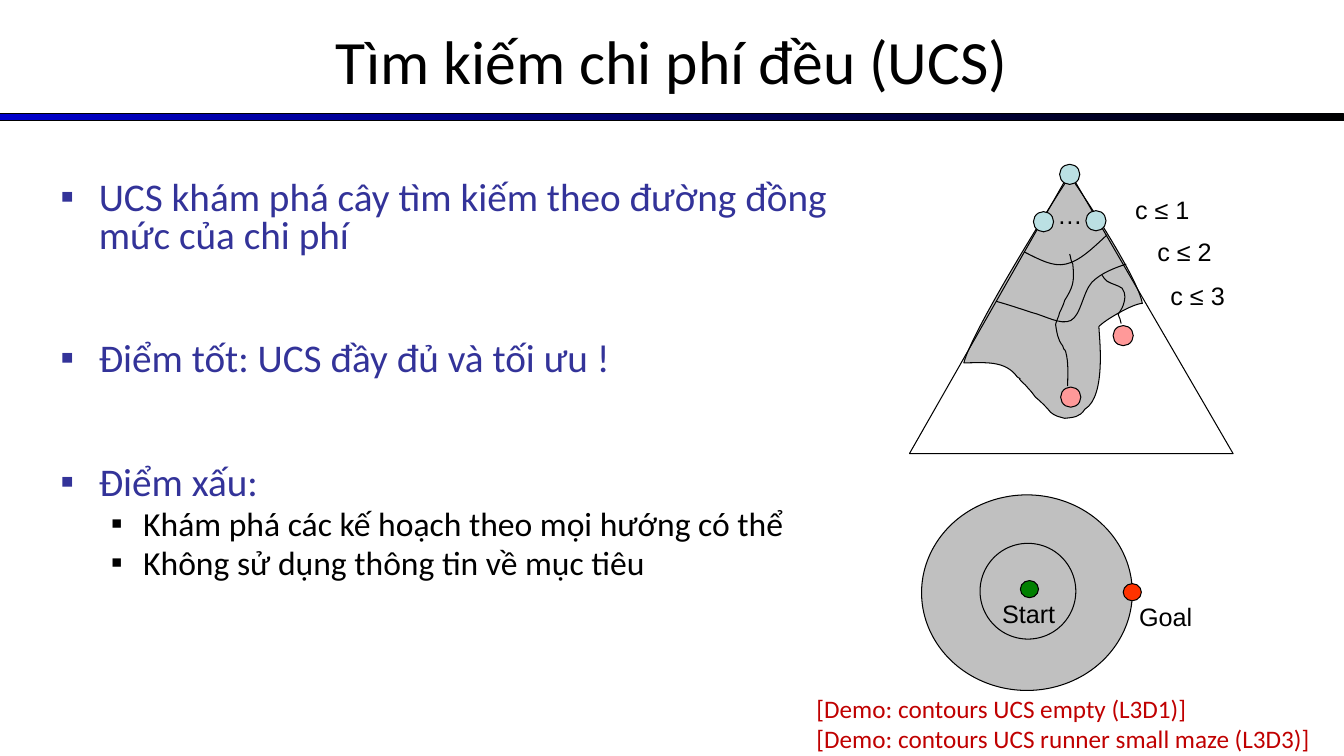
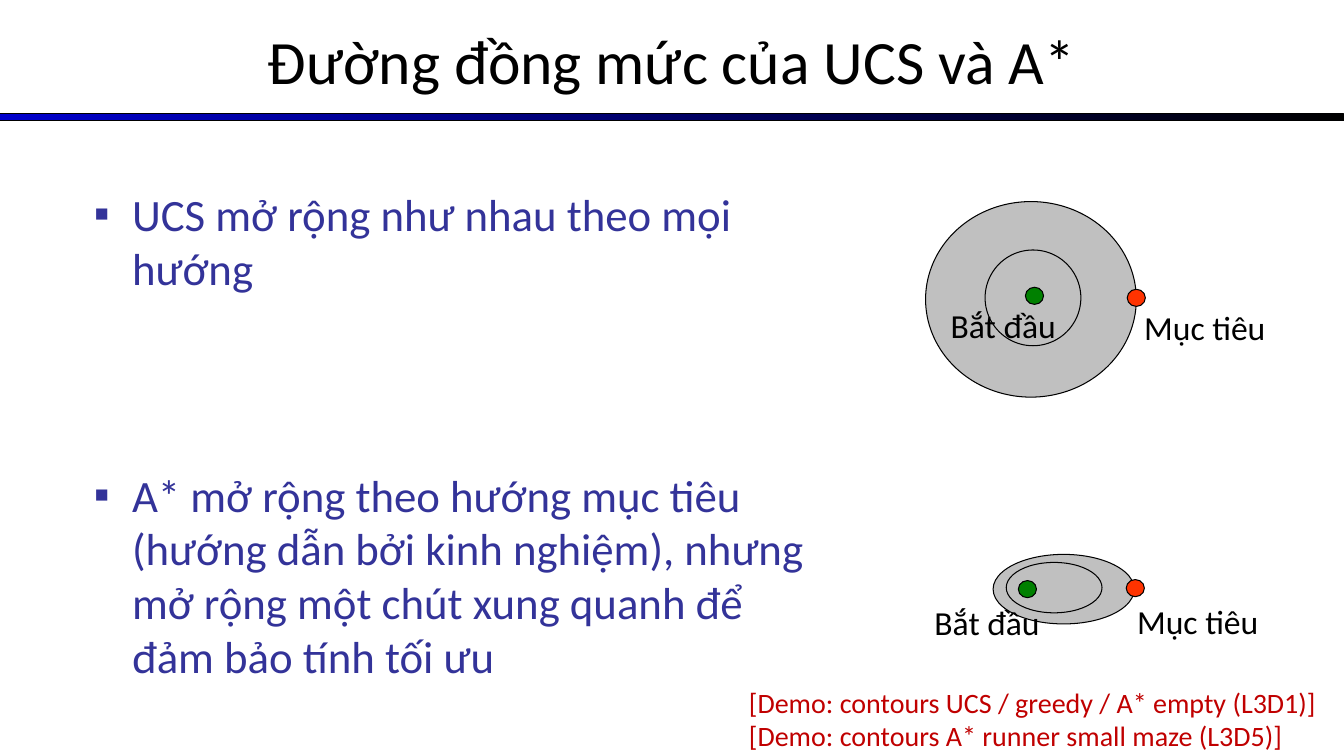
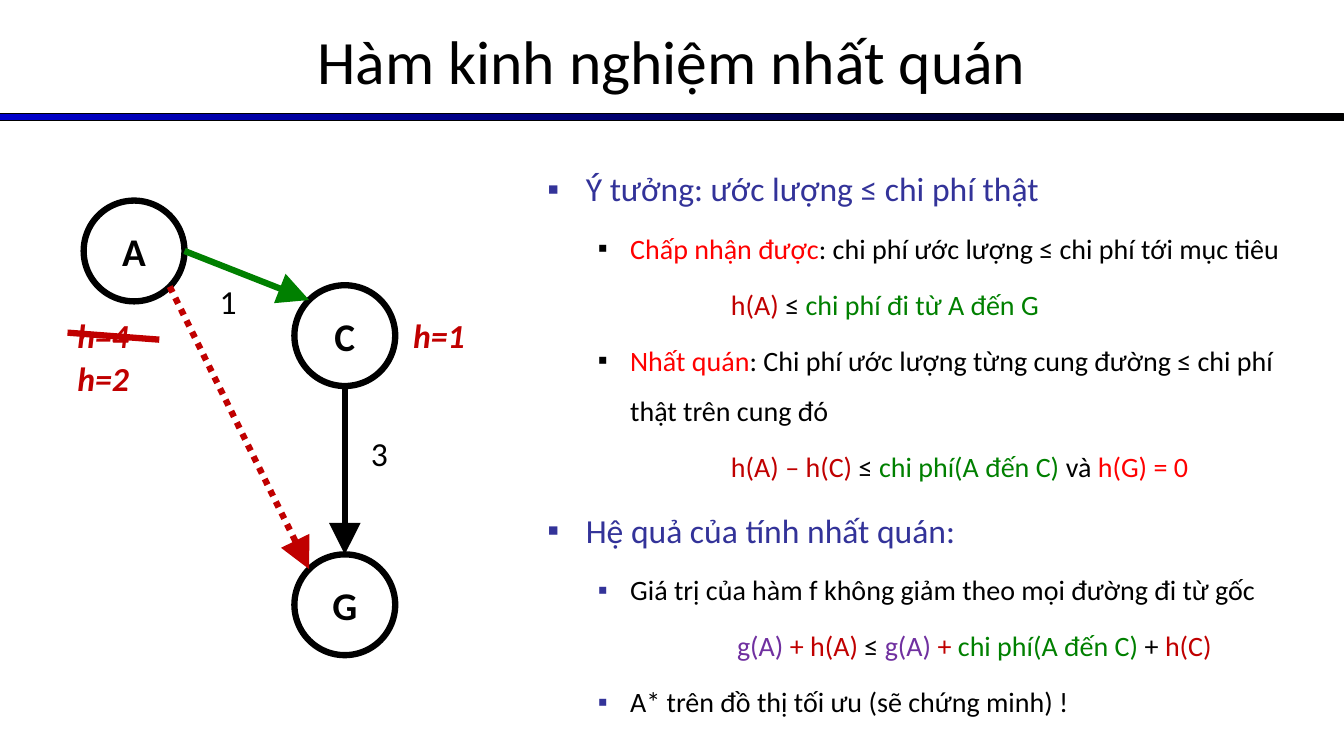
from dataclasses import dataclass
from math import cos, radians, sin

from lxml.etree import SubElement
from pptx import Presentation
from pptx.dml.color import RGBColor
from pptx.enum.dml import MSO_LINE
from pptx.enum.shapes import MSO_CONNECTOR, MSO_SHAPE
from pptx.enum.text import MSO_ANCHOR, MSO_AUTO_SIZE, PP_ALIGN
from pptx.oxml.ns import qn
from pptx.util import Inches, Pt

COLORS = {
    "black": "000000", "white": "FFFFFF", "heading": "333399", "band": "0000CC",
    "grey": "C0C0C0", "node": "BBE0E3", "goal_node": "FF9999",
    "green": "008000", "orange": "FF3300", "dark_red": "C00000",
    "red": "FF0000", "purple": "7030A0",
}
TITLE_BOX = (0, -0.03, 13.33, 1.25)
BAND_BOX = (0, 1.13, 13.33, 0.07)
BODY_LEVELS = {
    "point": {"level": 0, "margin": 0.38, "hang": 0.38, "bullet": True},
    "detail": {"level": 1, "margin": 0.82, "hang": 0.32, "bullet": True},
    "formula": {"level": 1, "margin": 1.82, "hang": 0, "bullet": False},
    "inset_formula": {"level": 1, "margin": 1.88, "hang": 0, "bullet": False},
}
TITLE_FONT = {"name": "Calibri", "size": Pt(44)}
ARIAL_LABEL = {"name": "Arial", "size": Pt(18)}
LABEL = {"name": "Calibri", "size": Pt(24)}
HEURISTIC = {**LABEL, "bold": True, "italic": True}
NODE_FONT = {"name": "Calibri", "size": Pt(28), "bold": True}


@dataclass
class Item:
    kind: str
    runs: list
    size: int
    bullet: str = "heading"
    gap: float = None


def rgb(name):
    return RGBColor.from_string(COLORS[name])


def inches(values):
    return [Inches(value) for value in values]


def place(shape, box):
    for side, value in zip(("left", "top", "width", "height"), inches(box)):
        setattr(shape, side, value)


def add_run(paragraph, text, font, color="black"):
    run = paragraph.add_run()
    run.text = text
    for attribute, value in font.items():
        setattr(run.font, attribute, value)
    run.font.color.rgb = rgb(color)


def paint(shape, fill=None, width=0.75):
    shape.shadow.inherit = False
    if fill:
        shape.fill.solid()
        shape.fill.fore_color.rgb = rgb(fill)
    else:
        shape.fill.background()
    shape.line.color.rgb = rgb("black")
    shape.line.width = Pt(width)


def add_preset(slide, preset, box, fill=None, width=0.75):
    shape = slide.shapes.add_shape(preset, *inches(box))
    paint(shape, fill, width)
    return shape


def add_ellipse(slide, box, fill=None, width=0.75):
    return add_preset(slide, MSO_SHAPE.OVAL, box, fill, width)


def add_label(slide, box, lines, font, color="black"):
    frame = slide.shapes.add_textbox(*inches(box)).text_frame
    frame.word_wrap = True
    for index, line in enumerate(lines):
        paragraph = frame.add_paragraph() if index else frame.paragraphs[0]
        add_run(paragraph, line, font, color)


def add_outline(slide, left, top, points, fill=None, close=False):
    """Draw straight segments through points given from the corner (left, top)."""
    start, *rest = [(Inches(left + x), Inches(top + y)) for x, y in points]
    builder = slide.shapes.build_freeform(*start)
    builder.add_line_segments(rest, close=close)
    outline = builder.convert_to_shape()
    paint(outline, fill)
    return outline


def add_curve(slide, left, top, start, segments, fill=None):
    """Draw cubic Bezier segments, each (x1, y1, x2, y2, x, y)."""
    ends = [segment[4:] for segment in segments]
    curve = add_outline(slide, left, top, [start, *ends], fill, fill is not None)
    sides = list(curve.element.iter(qn("a:lnTo")))
    for side, segment in zip(sides, segments):
        side.tag = qn("a:cubicBezTo")
        end = side[0]
        for x, y in (segment[:2], segment[2:4]):
            control = SubElement(side, qn("a:pt"))
            control.set("x", str(Inches(left + x) - curve.left))
            control.set("y", str(Inches(top + y) - curve.top))
        side.append(end)


def add_line(slide, start, end, color, dash=None, arrow=True):
    line = slide.shapes.add_connector(MSO_CONNECTOR.STRAIGHT, *inches((*start, *end)))
    line.line.color.rgb = rgb(color)
    line.line.width = Pt(4.5)
    if dash:
        line.line.dash_style = dash
    properties = line.element.spPr
    if arrow:
        SubElement(properties.find(qn("a:ln")), qn("a:tailEnd"),
                   type="triangle", w="lg", len="lg")
    SubElement(properties, qn("a:effectLst"))


def add_band(prs, slide):
    """Draw the title band and hand it to the master, so every slide shows it."""
    band = add_preset(slide, MSO_SHAPE.RECTANGLE, BAND_BOX, "band")
    band.fill.gradient()
    band.fill.gradient_angle = 0
    for stop, color in zip(band.fill.gradient_stops, ("band", "black")):
        stop.color.rgb = rgb(color)
    band.element.nvSpPr.cNvPr.set("id", "99")
    prs.slide_master.shapes.element.append(band.element)


def add_titled_slide(prs, heading):
    slide = prs.slides.add_slide(prs.slide_layouts[1])
    title = slide.shapes.title
    place(title, TITLE_BOX)
    frame = title.text_frame
    frame.auto_size = MSO_AUTO_SIZE.NONE
    frame.vertical_anchor = MSO_ANCHOR.MIDDLE
    frame.paragraphs[0].alignment = PP_ALIGN.CENTER
    add_run(frame.paragraphs[0], heading, TITLE_FONT)
    return slide


def set_bullet(paragraph, level, color):
    properties = paragraph._p.get_or_add_pPr()
    properties.set("marL", str(Inches(level["margin"])))
    properties.set("indent", str(-Inches(level["hang"])))
    if not level["bullet"]:
        SubElement(properties, qn("a:buNone"))
        return
    bullet_color = SubElement(properties, qn("a:buClr"))
    SubElement(bullet_color, qn("a:srgbClr"), val=COLORS[color])
    SubElement(properties, qn("a:buFont"), typeface="Arial")
    SubElement(properties, qn("a:buChar"), char="▪")


def fill_body(slide, box, items, line_spacing=1.0):
    body = slide.placeholders[1]
    place(body, box)
    frame = body.text_frame
    frame.auto_size = MSO_AUTO_SIZE.NONE
    for index, item in enumerate(items):
        paragraph = frame.add_paragraph() if index else frame.paragraphs[0]
        level = BODY_LEVELS[item.kind]
        paragraph.level = level["level"]
        set_bullet(paragraph, level, item.bullet)
        paragraph.line_spacing = line_spacing
        if not index:
            paragraph.space_before = Pt(0)
        elif item.gap:
            paragraph.space_before = Pt(item.gap)
        for text, color in item.runs:
            add_run(paragraph, text, {"name": "Calibri", "size": Pt(item.size)}, color)


def draw_search_tree(slide, left, top):
    """Search tree with cost contours and two paths to goal nodes."""
    explored = [
        (1.8, 0.52, 2.29, 1.27, 2.33, 1.51), (2.24, 1.51, 1.95, 1.68, 1.9, 1.74),
        (1.9, 1.82, 1.98, 2.43, 1.76, 2.56), (1.71, 2.64, 1.65, 2.64, 1.56, 2.65),
        (1.49, 2.63, 1.47, 2.63, 1.42, 2.59), (1.39, 2.55, 1.32, 2.48, 1.27, 2.44),
        (1.21, 2.36, 1.24, 2.4, 1.17, 2.32), (1.04, 2.2, 1.17, 2.29, 1.09, 2.24),
        (0.97, 2.07, 0.76, 2.1, 0.56, 2.1), (0.64, 1.79, 1.36, 0.63, 1.55, 0.34),
        (1.73, 0.05, 1.64, 0.33, 1.67, 0.33)]
    long_path = [
        (1.62, 1.05, 1.62, 1.09, 1.64, 1.12), (1.66, 1.3, 1.64, 1.35, 1.56, 1.48),
        (1.55, 1.52, 1.53, 1.56, 1.51, 1.6), (1.49, 1.67, 1.51, 1.61, 1.49, 1.66),
        (1.48, 1.68, 1.47, 1.72, 1.47, 1.72), (1.48, 1.79, 1.49, 1.87, 1.54, 1.93),
        (1.55, 1.94, 1.55, 1.95, 1.55, 1.96), (1.56, 1.97, 1.57, 1.98, 1.57, 1.99),
        (1.6, 2.1, 1.59, 2.2, 1.59, 2.33)]
    short_path = [
        (1.94, 1.25, 1.96, 1.27, 1.98, 1.29), (2.03, 1.32, 2.09, 1.33, 2.13, 1.36),
        (2.17, 1.42, 2.16, 1.47, 2.14, 1.53), (2.13, 1.56, 2.09, 1.62, 2.09, 1.62),
        (2.1, 1.65, 2.12, 1.68, 2.12, 1.71)]
    upper_contour = [
        (1.84, 0.96, 1.71, 1.09, 1.57, 1.12), (1.44, 1.15, 1.3, 1.07, 1.16, 1)]
    lower_contour = [
        (2.05, 1.16, 1.92, 1.21, 1.83, 1.3), (1.74, 1.4, 1.72, 1.63, 1.62, 1.68),
        (1.52, 1.73, 1.36, 1.63, 1.23, 1.6), (1.11, 1.56, 0.99, 1.52, 0.88, 1.49)]

    add_curve(slide, left, top, (1.67, 0.33), explored, "grey")
    add_outline(slide, left, top, [(0.02, 3), (3.23, 3), (1.61, 0.21)], close=True)
    for start, segments in (((1.61, 1.02), long_path), ((1.93, 1.23), short_path),
                            ((2.17, 1.12), lower_contour),
                            ((1.98, 0.83), upper_contour)):
        add_curve(slide, left, top, start, segments)
    for x, y, fill in ((1.51, 0.13, "node"), (1.25, 0.6, "node"), (1.77, 0.59, "node"),
                       (2.04, 1.73, "goal_node"), (1.52, 2.34, "goal_node")):
        add_ellipse(slide, (left + x, top + y, 0.2, 0.2), fill)
    for x, y, width, text in ((1.39, 0.43, 0.3, "…"), (2.16, 0.38, 0.9, "c ≤ 1"),
                              (2.38, 0.8, 0.9, "c ≤ 2"), (2.51, 1.23, 0.9, "c ≤ 3")):
        add_label(slide, (left + x, top + y, width, 0.4), [text], ARIAL_LABEL)


def draw_contours(slide, box, inner, start, goal, labels, font):
    """Outer and inner contour with start and goal dots, placed from the box corner."""
    left, top = box[:2]
    add_ellipse(slide, box, "grey")
    add_ellipse(slide, (left + inner[0], top + inner[1], *inner[2:]))
    for (x, y), fill in ((start, "green"), (goal, "orange")):
        add_ellipse(slide, (left + x, top + y, 0.18, 0.17), fill)
    height = 0.4 if font is ARIAL_LABEL else 0.5
    for x, y, width, text in labels:
        add_label(slide, (left + x, top + y, width, height), [text], font)


def draw_cost_graph(slide, left, top):
    """Three-node graph with step costs and heuristic values."""
    nodes = {"A": (left + 0.16, top), "C": (left + 2.25, top + 0.84),
             "G": (left + 2.25, top + 3.51)}

    def rim(name, angle):
        x, y = nodes[name]
        return x + 0.5 + 0.5 * cos(radians(angle)), y + 0.5 + 0.5 * sin(radians(angle))

    add_line(slide, rim("C", 90), rim("G", 270), "black")
    for name, corner in nodes.items():
        frame = add_ellipse(slide, (*corner, 1, 1), "white", 4.5).text_frame
        frame.vertical_anchor = MSO_ANCHOR.MIDDLE
        frame.paragraphs[0].alignment = PP_ALIGN.CENTER
        add_run(frame.paragraphs[0], name, NODE_FONT)
    for x, y, cost in ((1.41, 0.75, "1"), (2.91, 2.26, "3")):
        add_label(slide, (left + x, top + y, 0.37, 0.5), [cost], LABEL)
    for x, y, value in ((0, 1.09, "h=4"), (0, 1.51, "h=2"), (3.33, 1.09, "h=1")):
        add_label(slide, (left + x, top + y, 0.8, 0.5), [value], HEURISTIC, "dark_red")
    add_line(slide, rim("A", 45), rim("G", 225), "dark_red", MSO_LINE.ROUND_DOT)
    add_line(slide, rim("A", 0), rim("C", 225), "green")
    add_line(slide, (left, top + 1.31), (left + 0.91, top + 1.38), "dark_red", arrow=False)


def build_ucs_slide(prs):
    slide = add_titled_slide(prs, "Tìm kiếm chi phí đều (UCS)")
    add_band(prs, slide)
    points = ["UCS khám phá cây tìm kiếm theo đường đồng mức của chi phí",
              "Điểm tốt: UCS đầy đủ và tối ưu !", "Điểm xấu:"]
    details = ["Khám phá các kế hoạch theo mọi hướng có thể",
               "Không sử dụng thông tin về mục tiêu"]
    fill_body(slide, (0.5, 1.75, 7.83, 4.95),
              [Item("point", [(text, "heading")], 28, gap=61.5) for text in points]
              + [Item("detail", [(text, "black")], 24, "black") for text in details],
              0.8)
    draw_search_tree(slide, 9, 1.5)
    draw_contours(slide, (9.14, 4.91, 2.09, 1.94), (0.58, 0.48, 0.95, 0.95),
                  (0.98, 0.85), (2, 0.88),
                  [(0.7, 0.98, 1, "Start"), (2.06, 1.01, 1, "Goal")], ARIAL_LABEL)
    add_label(slide, (8, 6.83, 5.3, 0.71),
              ["[Demo: contours UCS empty (L3D1)]",
               "[Demo: contours UCS runner small maze (L3D3)]"],
              {"name": "Calibri", "size": Pt(18)}, "dark_red")


def build_contour_slide(prs):
    slide = add_titled_slide(prs, "Đường đồng mức của UCS và A*")
    points = ["UCS mở rộng như nhau theo mọi hướng",
              "A* mở rộng theo hướng mục tiêu (hướng dẫn bởi kinh nghiệm), "
              "nhưng mở rộng một chút xung quanh để đảm bảo tính tối ưu"]
    fill_body(slide, (0.83, 1.8, 7.33, 4.95),
              [Item("point", [(text, "heading")], 32, gap=123.8) for text in points])
    draw_contours(slide, (9.18, 2, 2.09, 1.94), (0.59, 0.48, 0.95, 0.95),
                  (0.99, 0.85), (2, 0.87),
                  [(0.15, 0.98, 1.25, "Bắt đầu"), (2.07, 1, 1.5, "Mục tiêu")], LABEL)
    draw_contours(slide, (9.85, 5.5, 1.4, 0.69), (0.13, 0.08, 0.95, 0.5),
                  (0.25, 0.26), (1.32, 0.25),
                  [(-0.68, 0.42, 1.4, "Bắt đầu"), (1.33, 0.41, 1.57, "Mục tiêu")], LABEL)
    add_label(slide, (7.33, 6.75, 6, 0.77),
              ["[Demo: contours UCS / greedy / A* empty (L3D1)]",
               "[Demo: contours A* runner small maze (L3D5)]"],
              {"name": "Calibri", "size": Pt(20)}, "dark_red")


def build_consistency_slide(prs):
    slide = add_titled_slide(prs, "Hàm kinh nghiệm nhất quán")
    fill_body(slide, (5.33, 1.42, 7.58, 3.33), [
        Item("point", [("Ý tưởng: ước lượng ≤ chi phí thật", "heading")], 24),
        Item("detail", [("Chấp nhận được", "red"),
                        (": chi phí ước lượng ≤ chi phí tới mục tiêu", "black")],
             20, "black"),
        Item("formula", [("h(A) ", "dark_red"), ("≤ ", "black"),
                         ("chi phí đi từ A đến G", "green")], 20),
        Item("detail", [("Nhất quán", "red"),
                        (": Chi phí ước lượng từng cung đường ≤ chi phí thật "
                         "trên cung đó", "black")], 20, "black"),
        Item("formula", [("h(A) – h(C) ", "dark_red"), ("≤ ", "black"),
                         ("chi phí(A đến C) ", "green"), ("và ", "black"),
                         ("h(G) = 0", "red")], 20),
        Item("point", [("Hệ quả của tính nhất quán:", "heading")], 24),
        Item("detail", [("Giá trị của hàm f không giảm theo mọi đường đi từ gốc",
                         "black")], 20),
        Item("inset_formula", [("g(A) ", "purple"), ("+ h(A) ", "dark_red"),
                               ("≤ ", "black"), ("g(A) ", "purple"),
                               ("+ ", "dark_red"), ("chi phí(A đến C) ", "green"),
                               ("+ ", "black"), ("h(C)", "dark_red")], 20),
        Item("detail", [("A* trên đồ thị tối ưu (sẽ chứng minh) !", "black")], 20),
    ], 1.5)
    draw_cost_graph(slide, 0.67, 1.99)


def main():
    prs = Presentation()
    prs.slide_width, prs.slide_height = Inches(13.33), Inches(7.5)
    for build in (build_ucs_slide, build_contour_slide, build_consistency_slide):
        build(prs)
    prs.save("out.pptx")


if __name__ == "__main__":
    main()
